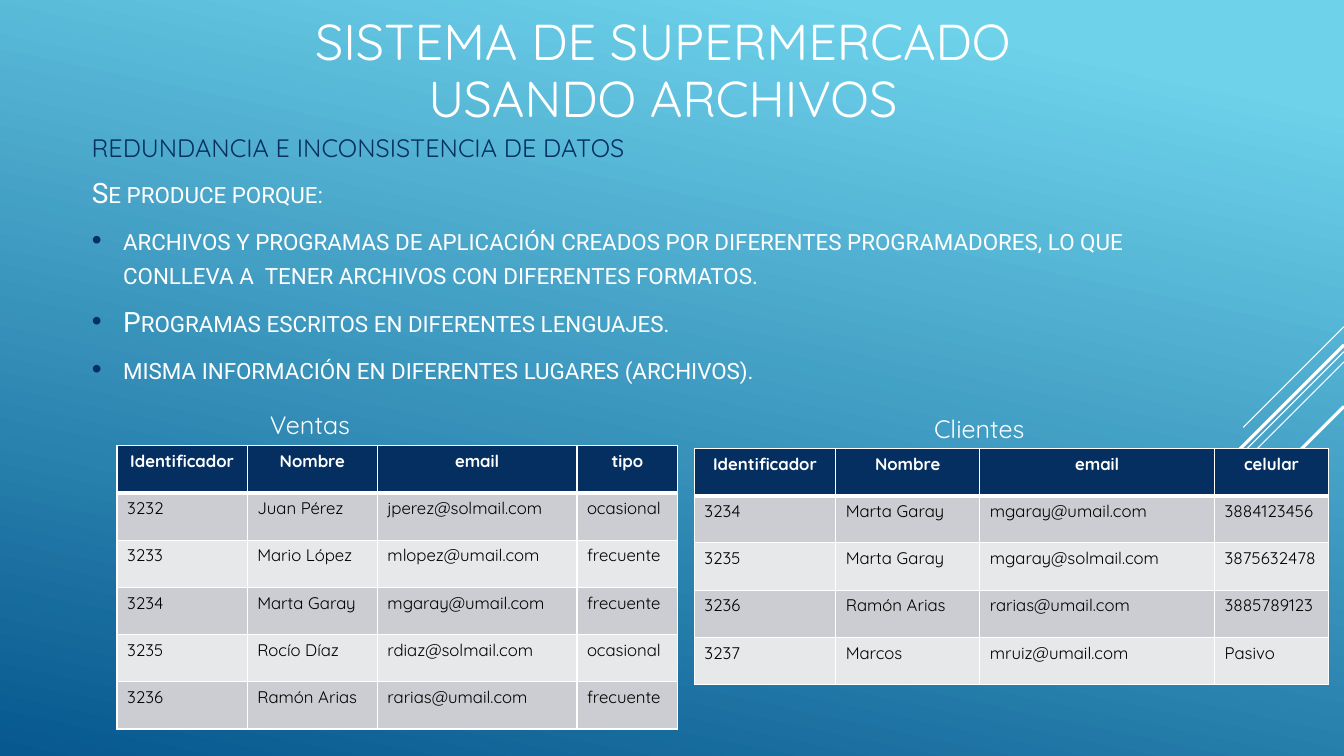
from lxml.etree import SubElement
from pptx import Presentation
from pptx.dml.color import RGBColor
from pptx.enum.shapes import MSO_CONNECTOR as CONNECTOR
from pptx.enum.text import MSO_ANCHOR as ANCHOR, MSO_AUTO_SIZE as AUTO_SIZE, PP_ALIGN as ALIGN
from pptx.oxml import parse_xml
from pptx.oxml.ns import nsdecls, qn
from pptx.util import Cm, Pt

WHITE = RGBColor(0xFF, 0xFF, 0xFF)
BLACK = RGBColor(0x00, 0x00, 0x00)
NAVY = RGBColor(0x05, 0x2F, 0x61)
SKY = RGBColor(0x6E, 0xD2, 0xEB)
OCEAN = RGBColor(0x06, 0x58, 0x8E)
BANDS = [RGBColor(0xE7, 0xE8, 0xEA), RGBColor(0xCC, 0xCD, 0xD2)]

HEADING_FONT = "Quicksand"
BODY_FONT = "Roboto"
ROW_HEIGHT = 1.19
BULLET_INDENT = Cm(0.79)


def style(paragraph, size, color, name=HEADING_FONT, bold=False):
    font = paragraph.font
    font.size, font.name, font.bold = Pt(size), name, bold
    font.color.rgb = color


def add_label(text, left, top, width, color):
    box = slide.shapes.add_textbox(Cm(left), Cm(top), Cm(width), Cm(1.02))
    box.text_frame.word_wrap = False
    paragraph = box.text_frame.paragraphs[0]
    paragraph.text = text
    style(paragraph, 18, color)
    return paragraph


prs = Presentation()
prs.slide_width, prs.slide_height = Cm(33.87), Cm(19.05)
slide = prs.slides.add_slide(prs.slide_layouts[1])

background = slide.background.fill
background.gradient()
background.gradient_angle = 258
for stop, position, color in zip(background.gradient_stops, (0.1, 1), (SKY, OCEAN)):
    stop.position = position
    stop.color.rgb = color

# Diagonal rays from the right edge: top, extent, line width
for top, extent, weight in [(8.23, 2.54, 0.75), (8.86, 8.28, 0.75), (9.12, 5.26, 0.75),
                            (8.69, 4.85, 2.25), (10.24, 3.53, 2.25)]:
    ray = slide.shapes.add_connector(CONNECTOR.STRAIGHT, Cm(33.87), Cm(top),
                                     Cm(33.87 - extent), Cm(top + extent))
    ray.line.color.rgb = WHITE
    ray.line.width = Pt(weight)
    SubElement(ray._element.spPr, qn("a:effectLst"))

# Title and subtitle
title = slide.shapes.title
title.left, title.top, title.width, title.height = Cm(2.95), Cm(0.15), Cm(27.51), Cm(3.33)
title.text_frame.vertical_anchor = ANCHOR.MIDDLE
title.text_frame.auto_size = AUTO_SIZE.NONE
heading = title.text_frame.paragraphs[0]
heading.add_run().text = "SISTEMA DE SUPERMERCADO"
heading.add_line_break()
heading.add_run().text = "USANDO ARCHIVOS"
heading.alignment = ALIGN.CENTER
heading.line_spacing = 0.95
style(heading, 36, WHITE)

subtitle = add_label("REDUNDANCIA E INCONSISTENCIA DE DATOS", 2.06, 3.2, 14.38, NAVY)
subtitle.runs[0]._r.get_or_add_rPr().append(parse_xml(
    f'<a:effectLst {nsdecls("a")}><a:outerShdw blurRad="38100" dist="38100" dir="2700000">'
    '<a:srgbClr val="000000"><a:alpha val="43000"/></a:srgbClr></a:outerShdw></a:effectLst>'))

# Causes
causes = slide.placeholders[1]
causes.left, causes.top, causes.width, causes.height = Cm(2.06), Cm(4.29), Cm(29.31), Cm(5.66)
causes.text_frame.auto_size = AUTO_SIZE.NONE
causes.text_frame.text = "\n".join([
    "Se produce porque:",
    "archivos y programas de aplicación creados por diferentes programadores, "
    "lo que conlleva a  tener archivos con diferentes formatos.",
    "Programas escritos en diferentes lenguajes.",
    "misma información en diferentes lugares (archivos).",
])
for index, cause in enumerate(causes.text_frame.paragraphs):
    style(cause, 20, WHITE, BODY_FONT)
    cause.space_before, cause.space_after = Pt(4), Pt(6)
    props = cause._p.get_or_add_pPr()
    defaults = props.find(qn("a:defRPr"))
    defaults.set("cap", "small")
    indent = BULLET_INDENT if index else 0
    props.set("marL", str(indent))
    props.set("indent", str(-indent))
    bullet = (f'<a:buClr><a:srgbClr val="{NAVY}"/></a:buClr><a:buFont typeface="Arial"/>'
              '<a:buChar char="•"/>') if index else "<a:buNone/>"
    for part in list(parse_xml(f'<a:pPr {nsdecls("a")}>{bullet}</a:pPr>')):
        defaults.addprevious(part)

# Tables
sales = [
    ("Identificador", "Nombre", "email", "tipo"),
    ("3232", "Juan Pérez", "jperez@solmail.com", "ocasional"),
    ("3233", "Mario López", "mlopez@umail.com", "frecuente"),
    ("3234", "Marta Garay", "mgaray@umail.com", "frecuente"),
    ("3235", "Rocío Díaz", "rdiaz@solmail.com", "ocasional"),
    ("3236", "Ramón Arias", "rarias@umail.com", "frecuente"),
]
clients = [
    ("Identificador", "Nombre", "email", "celular"),
    ("3234", "Marta Garay", "mgaray@umail.com", "3884123456"),
    ("3235", "Marta Garay", "mgaray@solmail.com", "3875632478"),
    ("3236", "Ramón Arias", "rarias@umail.com", "3885789123"),
    ("3237", "Marcos", "mruiz@umail.com", "Pasivo"),
]
for records, left, top, widths in [(sales, 2.95, 11.23, (3.28, 3.28, 5.03, 2.54)),
                                   (clients, 17.5, 11.3, (3.56, 3.63, 5.92, 2.87))]:
    table = slide.shapes.add_table(len(records), len(widths), Cm(left), Cm(top),
                                   Cm(sum(widths)), Cm(ROW_HEIGHT * len(records))).table
    for column, width in zip(table.columns, widths):
        column.width = Cm(width)
    for r, record in enumerate(records):
        table.rows[r].height = Cm(ROW_HEIGHT)
        header = r == 0
        for c, value in enumerate(record):
            cell = table.cell(r, c)
            cell.text = value
            entry = cell.text_frame.paragraphs[0]
            entry.alignment = ALIGN.CENTER if header else ALIGN.LEFT
            style(entry, 12, WHITE if header else BLACK, bold=header)
            for side in ("L", "R", "T", "B"):
                thick = (header and side == "B") or (r == 1 and side == "T")
                cell._tc.get_or_add_tcPr().append(parse_xml(
                    f'<a:ln{side} {nsdecls("a")} w="{Pt(3 if thick else 1)}"><a:solidFill>'
                    f'<a:srgbClr val="{WHITE}"/></a:solidFill></a:ln{side}>'))
            cell.fill.solid()
            cell.fill.fore_color.rgb = NAVY if header else BANDS[r % 2]

add_label("Ventas", 6.55, 10.19, 2.67, WHITE)
add_label("Clientes", 23.29, 10.29, 3, WHITE)

prs.save("out.pptx")
